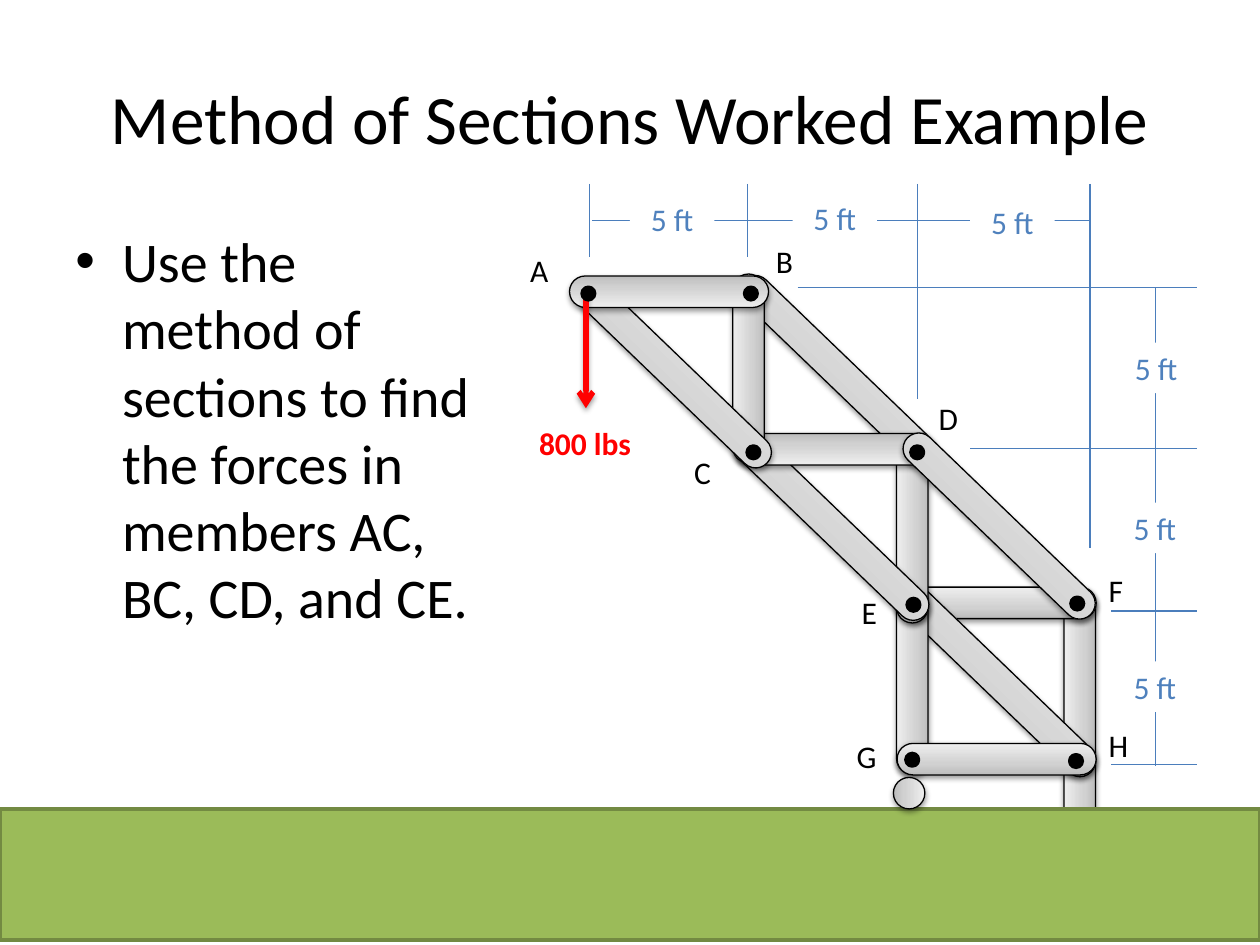
from lxml import etree
from pptx import Presentation
from pptx.dml.color import RGBColor
from pptx.enum.shapes import MSO_CONNECTOR, MSO_SHAPE
from pptx.enum.text import MSO_ANCHOR, PP_ALIGN
from pptx.oxml import parse_xml
from pptx.oxml.ns import nsdecls, qn
from pptx.util import Inches, Pt

COLORS = {
    "text": "000000", "load": "FF0000", "dimension": "4B7EBC", "dimension_text": "4F81BD",
    "ground": "9BBB59", "ground_line": "738A42", "white": "FFFFFF",
    "steel_dark": "BDBDBD", "steel_mid": "D1D1D1", "steel_light": "EEEEEE",
}
RGB = {name: RGBColor.from_string(value) for name, value in COLORS.items()}

GRADIENT = (
    f'<a:gradFill {nsdecls("a")} rotWithShape="1"><a:gsLst>'
    f'<a:gs pos="0"><a:srgbClr val="{COLORS["steel_dark"]}"/></a:gs>'
    f'<a:gs pos="35000"><a:srgbClr val="{COLORS["steel_mid"]}"/></a:gs>'
    f'<a:gs pos="100000"><a:srgbClr val="{COLORS["steel_light"]}"/></a:gs>'
    '</a:gsLst><a:lin ang="16200000" scaled="0"/></a:gradFill>'
)
SHADOW = (
    f'<a:effectLst {nsdecls("a")}><a:outerShdw blurRad="40000" dist="20000" dir="5400000" '
    'rotWithShape="0"><a:srgbClr val="000000"><a:alpha val="38000"/></a:srgbClr>'
    '</a:outerShdw></a:effectLst>'
)

presentation = Presentation()
presentation.slide_width = Inches(10)
presentation.slide_height = Inches(7.5)
slide = presentation.slides.add_slide(presentation.slide_layouts[6])


def add_text(text, left, top, width, height, size=18, color="text", bold=False,
             align=PP_ALIGN.LEFT, anchor=MSO_ANCHOR.TOP, wrap=True):
    box = slide.shapes.add_textbox(Inches(left), Inches(top), Inches(width), Inches(height))
    box.text_frame.word_wrap = wrap
    box.text_frame.vertical_anchor = anchor
    paragraph = box.text_frame.paragraphs[0]
    paragraph.alignment = align
    run = paragraph.add_run()
    run.text = text
    run.font.name = "Calibri"
    run.font.size = Pt(size)
    run.font.bold = bold
    run.font.color.rgb = RGB[color]
    return box


def add_line(start_x, start_y, end_x, end_y, color="dimension", width=0.75):
    line = slide.shapes.add_connector(MSO_CONNECTOR.STRAIGHT, Inches(start_x), Inches(start_y),
                                      Inches(end_x), Inches(end_y))
    line.line.color.rgb = RGB[color]
    line.line.width = Pt(width)
    etree.SubElement(line._element.spPr, qn("a:effectLst"))
    return line


add_text("Method of Sections Worked Example", 0.5, 0.3, 9, 1.25, size=39.6,
         align=PP_ALIGN.CENTER, anchor=MSO_ANCHOR.MIDDLE)
body = add_text("Use the method of sections to find the forces in members AC, BC, CD, and CE.",
                0.5, 1.75, 3.35, 4.5, size=32)
properties = body.text_frame.paragraphs[0]._p.get_or_add_pPr()
properties.set("marL", str(Inches(0.37)))
properties.set("indent", str(-Inches(0.37)))
etree.SubElement(properties, qn("a:buFont")).set("typeface", "Arial")
etree.SubElement(properties, qn("a:buChar")).set("char", "•")

HORIZONTAL, VERTICAL, DIAGONAL, THICKNESS = 1.58, 1.5, 2.02, 0.25
members = [
    ("support", 7.82, 6.53, VERTICAL, 270, "h"),
    ("FH", 7.82, 5.29, VERTICAL, 90, "hv"),
    ("EF", 7.12, 4.66, HORIZONTAL, 0, "h"),
    ("ground", 0, 6.42, 10, 0, ""),
    ("EH", 6.89, 5.26, DIAGONAL, 43.9, ""),
    ("EG", 6.49, 5.27, VERTICAL, 270, "h"),
    ("GH", 7.12, 5.9, HORIZONTAL, 0, "h"),
    ("DE", 6.49, 4.07, VERTICAL, 90, "hv"),
    ("CE", 5.6, 4.06, DIAGONAL, 43.9, ""),
    ("BD", 5.62, 2.8, DIAGONAL, 43.9, ""),
    ("CD", 5.84, 3.44, HORIZONTAL, 0, "hv"),
    ("BC", 5.19, 2.8, VERTICAL, 90, "hv"),
    ("AC", 4.35, 2.85, DIAGONAL, 43.9, ""),
    ("AB", 4.52, 2.19, HORIZONTAL, 0, "hv"),
    ("roller", 7.09, 6.17, THICKNESS, 90, ""),
    ("DF", 6.92, 4.05, DIAGONAL, 43.9, ""),
]
for name, left, top, length, rotation, flips in members:
    is_ground = name == "ground"
    preset = MSO_SHAPE.RECTANGLE if is_ground else MSO_SHAPE.ROUNDED_RECTANGLE
    member = slide.shapes.add_shape(preset, Inches(left), Inches(top), Inches(length),
                                    Inches(1.04 if is_ground else THICKNESS))
    member.line.color.rgb = RGB["ground_line" if is_ground else "text"]
    member.line.width = Pt(2 if is_ground else 0.75)
    if is_ground:
        member.shadow.inherit = False
        member.fill.solid()
        member.fill.fore_color.rgb = RGB["ground"]
        continue
    member.adjustments[0] = 0.5
    member.rotation = rotation
    shape_properties = member._element.spPr
    for flip in flips:
        shape_properties.find(qn("a:xfrm")).set("flip" + flip.upper(), "1")
    shape_properties.find(qn("a:prstGeom")).addnext(parse_xml(GRADIENT))
    shape_properties.append(parse_xml(SHADOW))

load = add_line(4.65, 2.34, 4.65, 3.24, "load", 3)
etree.SubElement(load.line._get_or_add_ln(), qn("a:tailEnd")).set("type", "arrow")
load_effects = load._element.spPr.find(qn("a:effectLst"))
load_effects.getparent().replace(load_effects, parse_xml(SHADOW))
add_text("800 lbs", 4.18, 3.32, 0.94, 0.4, color="load", bold=True, wrap=False)

joints = [
    ("A", 4.62, 2.28, 4.11, 1.94), ("B", 5.91, 2.28, 6.06, 1.87),
    ("C", 5.93, 3.54, 5.41, 3.55), ("D", 7.23, 3.54, 7.35, 3.12),
    ("E", 7.2, 4.75, 6.74, 4.66), ("F", 8.5, 4.74, 8.7, 4.48),
    ("G", 7.19, 5.98, 6.7, 5.8), ("H", 8.49, 5.99, 8.7, 5.71),
]
for name, left, top, label_left, label_top in joints:
    pin = slide.shapes.add_shape(MSO_SHAPE.OVAL, Inches(left), Inches(top),
                                 Inches(0.1), Inches(0.1))
    pin.shadow.inherit = False
    pin.fill.solid()
    pin.fill.fore_color.rgb = RGB["text"]
    pin.line.color.rgb = RGB["text"]
    pin.line.width = Pt(2)

for start_x, y in [(6.33, 2.28), (7.7, 3.56), (8.82, 4.85), (8.82, 6.07)]:
    add_line(start_x, y, 9.5, y)
for x, end_y in [(4.68, 2.04), (5.93, 2.04), (7.28, 3.17), (8.65, 4.35)]:
    add_line(x, 1.46, x, end_y)
add_line(9.17, 2.28, 9.17, 6.08)
add_line(4.7, 1.75, 8.65, 1.75)

for left, top in [(5, 1.54), (6.29, 1.53), (7.7, 1.56), (8.84, 2.72), (8.83, 3.99), (8.83, 5.25)]:
    dimension = add_text("5 ft", left, top, 0.67, 0.4, color="dimension_text",
                         align=PP_ALIGN.CENTER)
    dimension.fill.solid()
    dimension.fill.fore_color.rgb = RGB["white"]

for name, left, top, label_left, label_top in joints:
    add_text(name, label_left, label_top, 0.35, 0.4, wrap=False)

presentation.save("out.pptx")
